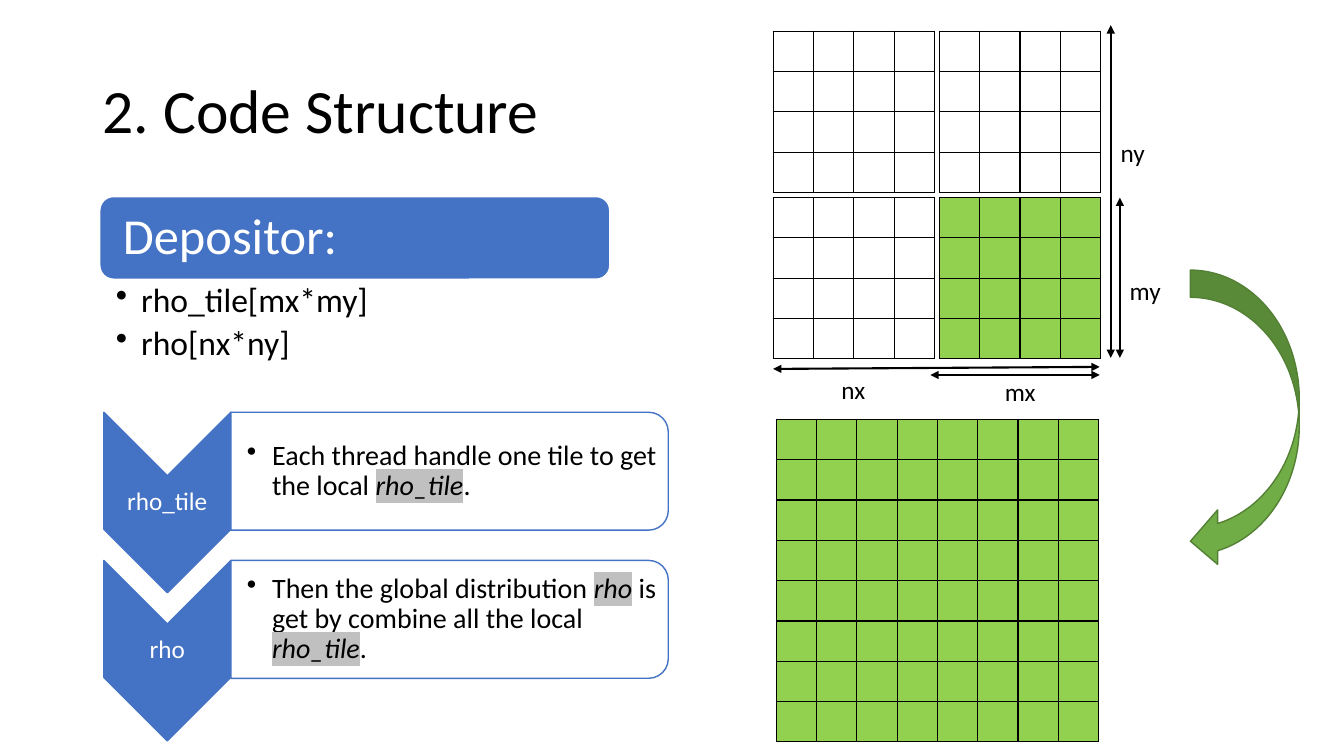
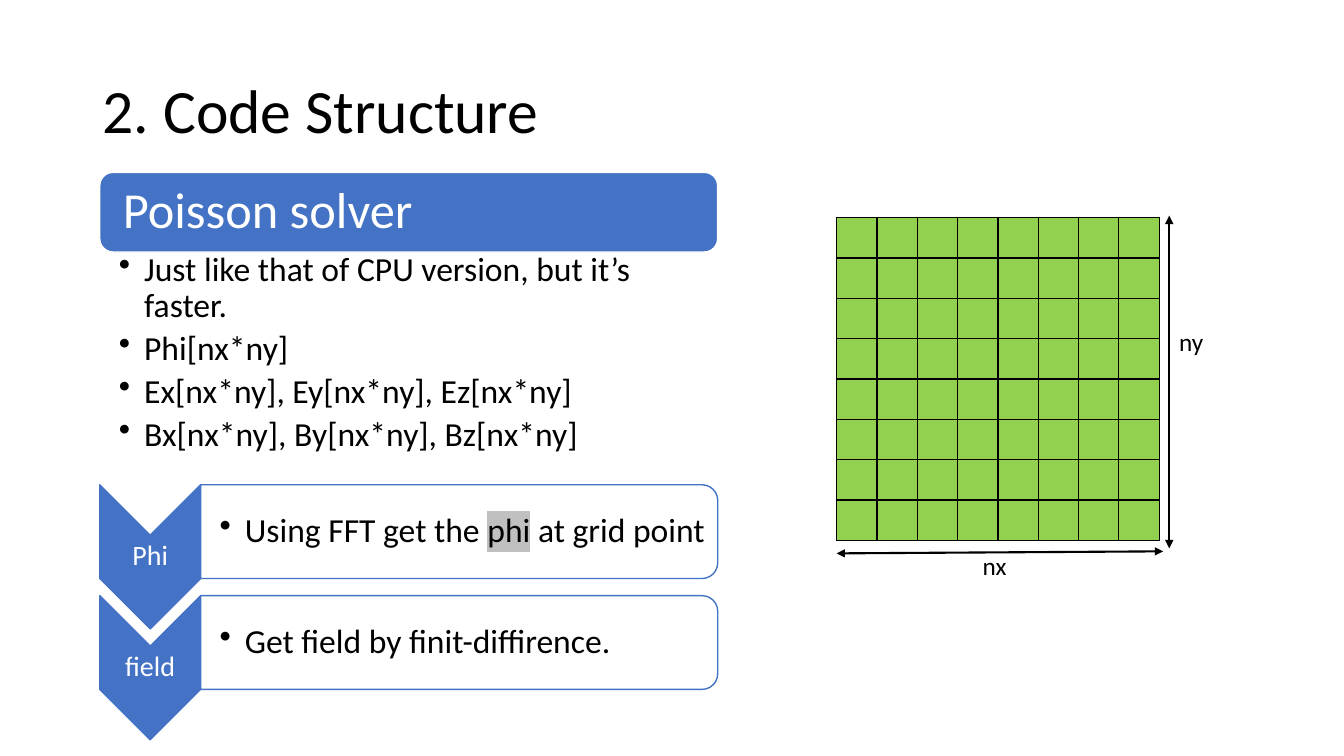
"""Build two slides on the code structure of a particle simulation."""
from lxml import etree
from pptx import Presentation
from pptx import util as u
from pptx.dml.color import RGBColor
from pptx.enum import shapes, text
from pptx.oxml.ns import qn

PX = 9144
COLOURS = {"ink": "000000", "paper": "FFFFFF", "blue": "4472C4", "cell": "92D050",
           "arrow": "70AD47", "arrow edge": "538035", "mark": "C0C0C0"}
KIND = shapes.MSO_SHAPE


def px(length):
    return u.Emu(round(length * PX))


def rgb(name):
    return RGBColor.from_string(COLOURS[name])


class Sketch:
    def __init__(self):
        self.deck = Presentation()
        self.deck.slide_width, self.deck.slide_height = u.Emu(12192000), px(750)
        self.page = None

    def new_page(self, title):
        self.page = self.deck.slides.add_slide(self.deck.slide_layouts[6])
        self.label_box(92, 40, 1150, 145, [title], 44, middle=True, spacing=0.9)

    def set_words(self, box, paras, size, colour="ink", insets=(10, 5, 10, 5),
                  middle=False, centred=False, bullets=False, spacing=1.0):
        frame = box.text_frame
        frame.word_wrap = True
        frame.vertical_anchor = text.MSO_ANCHOR.MIDDLE if middle else text.MSO_ANCHOR.TOP
        (frame.margin_left, frame.margin_top,
         frame.margin_right, frame.margin_bottom) = map(px, insets)
        for index, content in enumerate(paras):
            para = frame.paragraphs[0] if index == 0 else frame.add_paragraph()
            para.alignment = text.PP_ALIGN.CENTER if centred else text.PP_ALIGN.LEFT
            para.line_spacing = spacing
            if bullets:
                if index < len(paras) - 1:
                    para.space_after = u.Pt(size * 0.2)
                props = para._p.get_or_add_pPr()
                props.set("marL", str(px(25)))
                props.set("indent", str(px(-25)))
                etree.SubElement(props, qn("a:buChar")).set("char", "•")
            runs = [(content, "")] if isinstance(content, str) else content
            for words, style in runs:
                self.span(para, words, style, size, colour)

    def span(self, para, words, style, size, colour):
        span = para.add_run()
        span.text = words
        span.font.size = u.Pt(size)
        span.font.name = "Calibri"
        span.font.color.rgb = rgb(colour)
        if "italic" in style:
            span.font.italic = True
        if "mark" in style:
            mark = etree.Element(qn("a:highlight"))
            etree.SubElement(mark, qn("a:srgbClr")).set("val", COLOURS["mark"])
            span._r.get_or_add_rPr().find(qn("a:latin")).addprevious(mark)

    def label_box(self, left, top, width, height, paras, size, **style):
        box = self.page.shapes.add_textbox(px(left), px(top), px(width), px(height))
        self.set_words(box, paras, size, **style)

    def shape(self, kind, left, top, width, height, fill, line):
        shape = self.page.shapes.add_shape(kind, px(left), px(top), px(width), px(height))
        shape.shadow.inherit = False
        shape.fill.solid()
        shape.fill.fore_color.rgb = rgb(fill)
        shape.line.color.rgb = rgb(line)
        shape.line.width = u.Pt(1)
        return shape

    def turned(self, kind, left, top, width, height, fill):
        shift = (width - height) / 2
        shape = self.shape(kind, left + shift, top - shift, height, width, fill, "blue")
        shape.rotation = 90

    def header(self, top, width, height, words):
        box = self.shape(KIND.ROUNDED_RECTANGLE, 99, top, width, height, "blue", "paper")
        self.set_words(box, [words], 36, "paper", (19, 15, 19, 15), middle=True, spacing=0.9)

    def bullets(self, top, width, height, paras, indent):
        self.label_box(99, top, width, height, paras, 24, insets=(indent, 3, 19, 3),
                       bullets=True, spacing=0.9)

    def steps(self, left, top, pitch, chevron, panel, sizes, indent, items):
        width, height = chevron
        for index, (label, runs) in enumerate(items):
            y = top + index * pitch
            self.turned(KIND.CHEVRON, left, y, width, height, "blue")
            self.label_box(left, y, width, height, [label], sizes[0], colour="paper",
                           insets=(1, 1, 1, 1), middle=True, centred=True, spacing=0.9)
            self.turned(KIND.ROUND_2_SAME_RECTANGLE, left + width, y, *panel, "paper")
            self.label_box(left + width, y, *panel, [runs], sizes[1],
                           insets=(indent, 1, 6, 1), middle=True, bullets=True, spacing=0.9)

    def grid(self, left, top, count, filled):
        side = px(40 * count)
        frame = self.page.shapes.add_table(count, count, px(left), px(top), side, side)
        table = frame.table
        table.first_row = table.horz_banding = False
        for track in table.columns:
            track.width = px(40)
        for track in table.rows:
            track.height = px(40)
        for cell in table.iter_cells():
            cell.margin_left = cell.margin_right = cell.margin_top = cell.margin_bottom = 0
            props = cell._tc.get_or_add_tcPr()
            for side_name in ("lnL", "lnR", "lnT", "lnB"):
                edge = etree.SubElement(props, qn("a:" + side_name))
                edge.set("w", str(u.Pt(1)))
                paint = etree.SubElement(edge, qn("a:solidFill"))
                etree.SubElement(paint, qn("a:srgbClr")).set("val", COLOURS["ink"])
            if filled:
                cell.fill.solid()
                cell.fill.fore_color.rgb = rgb("cell")
            else:
                cell.fill.background()

    def measure(self, x1, y1, x2, y2):
        line = self.page.shapes.add_connector(
            shapes.MSO_CONNECTOR.STRAIGHT, px(x1), px(y1), px(x2), px(y2))
        line.line.color.rgb = rgb("ink")
        line.line.width = u.Pt(1.5)
        props = line._element.spPr
        stroke = props.find(qn("a:ln"))
        for end in ("headEnd", "tailEnd"):
            etree.SubElement(stroke, qn("a:" + end)).set("type", "triangle")
        etree.SubElement(props, qn("a:effectLst"))

    def label(self, left, top, words):
        self.label_box(left, top, 60, 40, [words], 18)


def depositor(sketch):
    sketch.new_page("2. Code Structure")
    sketch.header(195, 506, 82, "Depositor:")
    sketch.bullets(278, 506, 116, ["rho_tile[mx*my]", "rho[nx*ny]"], 16)
    sketch.steps(103, 409, 147, (126, 179), (434, 117), (18, 20), 16, [
        ("rho_tile", [("Each thread handle one tile to get the local ", ""),
                      ("rho_tile", "mark italic"), (".", "")]),
        ("rho", [("Then the global distribution ", ""), ("rho", "mark italic"),
                 (" is get by combine all the local ", ""),
                 ("rho_tile", "mark italic"), (".", "")]),
    ])
    for row in range(2):
        for column in range(2):
            sketch.grid(767 + 165 * column, 31 + 165 * row, 4, row == column == 1)
    for ends in ((767, 366, 1091, 364), (923, 372, 1091, 372),
                 (1102, 25, 1102, 355), (1111, 196, 1111, 355)):
        sketch.measure(*ends)
    for left, top, words in ((825, 366, "nx"), (987, 368, "mx"),
                             (1102, 131, "ny"), (1111, 268, "my")):
        sketch.label(left, top, words)
    sketch.grid(770, 416, 8, True)
    sketch.shape(KIND.CURVED_LEFT_ARROW, 1181, 268, 108, 296, "arrow", "arrow edge")


def poisson_solver(sketch):
    sketch.new_page("2. Code Structure")
    sketch.header(171, 613, 79, "Poisson solver")
    sketch.bullets(247, 613, 217, [
        "Just like that of CPU version, but it’s faster.", "Phi[nx*ny]",
        "Ex[nx*ny], Ey[nx*ny], Ez[nx*ny]", "Bx[nx*ny], By[nx*ny], Bz[nx*ny]"], 19)
    sketch.steps(99, 481, 110, (100, 143), (513, 93), (20, 24), 19, [
        ("Phi", [("Using FFT get the ", ""), ("phi", "mark"), (" at grid point", "")]),
        ("field", [("Get field by finit-diffirence.", "")]),
    ])
    sketch.grid(830, 216, 8, True)
    sketch.measure(830, 549, 1154, 547)
    sketch.measure(1160, 214, 1160, 544)
    sketch.label(965, 541, "nx")
    sketch.label(1160, 319, "ny")


def main():
    sketch = Sketch()
    depositor(sketch)
    poisson_solver(sketch)
    sketch.deck.save("out.pptx")


if __name__ == "__main__":
    main()
